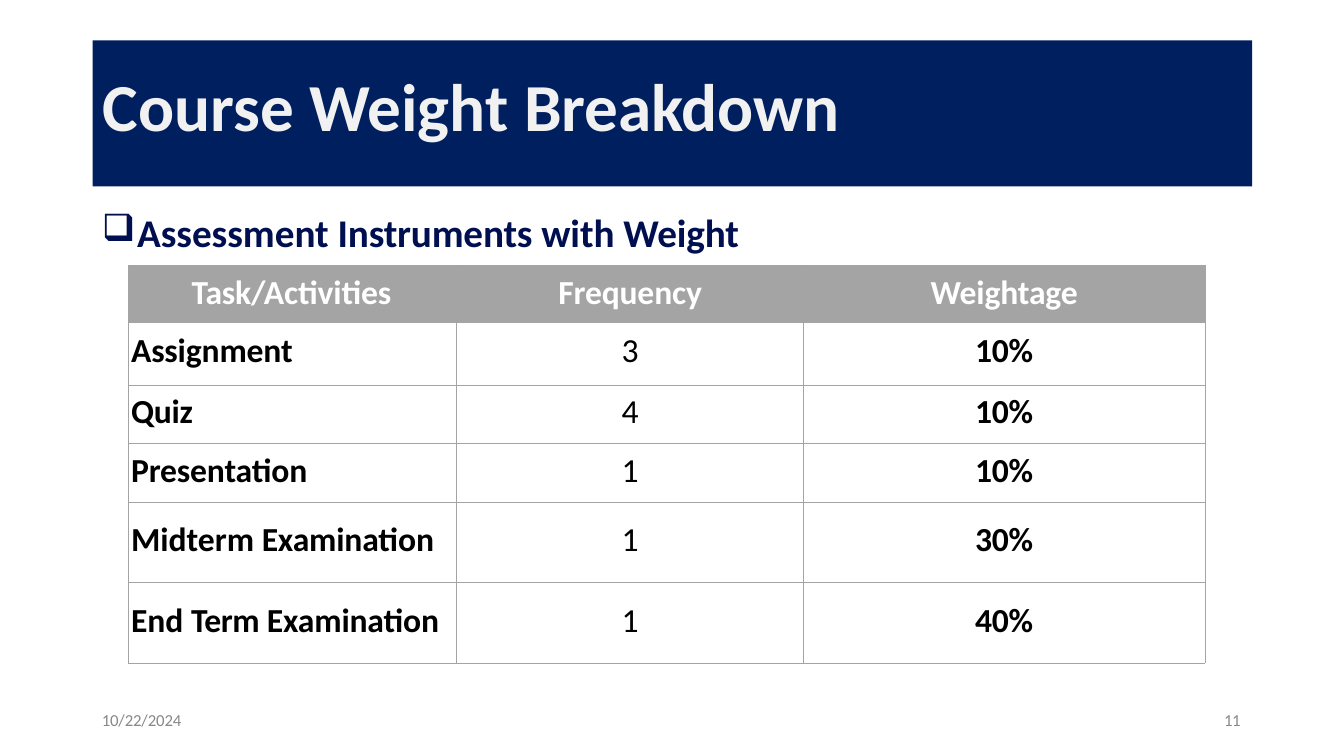
import pptx
import pptx.util
import pptx.dml.color
import pptx.enum.shapes
import pptx.enum.text
import pptx.oxml
import pptx.oxml.ns
from pptx.util import Inches

NAVY = "001F5F"
GREY = "A4A4A4"
SPACE = pptx.oxml.ns.nsdecls("a")


def paint(color, value):
    color.rgb = pptx.dml.color.RGBColor.from_string(value)


def write(para, runs, size, color, bold=False):
    for text, gap in runs:
        run = para.add_run()
        run.text = text
        font = run.font
        font.name = "Calibri"
        font.size = pptx.util.Pt(size)
        font.bold = bold
        paint(font.color, color)
        if gap:
            run._r.get_or_add_rPr().set("spc", str(round(gap * 100)))


def inset(item, left, top):
    item.margin_left = Inches(left)
    item.margin_top = Inches(top)
    item.margin_right = item.margin_bottom = 0


def add_box(slide, left, top, width, height, indent=0, drop=0):
    box = slide.shapes.add_textbox(
        Inches(left), Inches(top), Inches(width), Inches(height))
    frame = box.text_frame
    frame.word_wrap = True
    inset(frame, indent, drop)
    return frame.paragraphs[0]


def add_title(slide, runs):
    bar = slide.shapes.add_shape(
        pptx.enum.shapes.MSO_SHAPE.RECTANGLE,
        Inches(0.92), Inches(0.4), Inches(11.5), Inches(1.45))
    bar.shadow.inherit = False
    bar.fill.solid()
    paint(bar.fill.fore_color, NAVY)
    bar.line.fill.background()
    frame = bar.text_frame
    frame.word_wrap = True
    frame.vertical_anchor = pptx.enum.text.MSO_ANCHOR.TOP
    inset(frame, 0.1, 0.24)
    para = frame.paragraphs[0]
    para.alignment = pptx.enum.text.PP_ALIGN.LEFT
    write(para, runs, 48, "F1F1F1", True)


def add_point(slide, runs):
    para = add_box(slide, 1, 2.06, 6.38, 0.49, drop=0.01)
    props = para._p.get_or_add_pPr()
    props.set("marL", str(Inches(0.36)))
    props.set("indent", str(Inches(-0.35)))
    for part in (
        f'<a:buSzPct {SPACE} val="96000"/>',
        f'<a:buChar {SPACE} char="❑"/>',
        f'<a:tabLst {SPACE}><a:tab pos="{Inches(0.36)}" algn="l"/></a:tabLst>',
    ):
        props.append(pptx.oxml.parse_xml(part))
    write(para, runs, 28, "000F50", True)


def add_note(slide, left, width, indent, text, gap):
    para = add_box(slide, left, 7.07, width, 0.2, indent)
    para.line_spacing = pptx.util.Pt(12.4)
    write(para, [(text, gap)], 12, "888888")


def edge(cell, widths):
    props = cell._tc.get_or_add_tcPr()
    for side, width in zip("LRTB", widths):
        props.append(pptx.oxml.parse_xml(
            f'<a:ln{side} {SPACE} w="{pptx.util.Pt(width)}"><a:solidFill>'
            f'<a:srgbClr val="{GREY}"/></a:solidFill></a:ln{side}>'))


def add_grid(slide, rows, widths, heights, drops):
    grid = slide.shapes.add_table(
        len(rows), len(widths), Inches(1.27), Inches(2.63),
        Inches(sum(widths)), Inches(sum(heights))).table
    grid.first_row = grid.horz_banding = False
    for col, width in zip(grid.columns, widths):
        col.width = Inches(width)
    last = len(rows) - 1
    for r, cells in enumerate(rows):
        grid.rows[r].height = Inches(heights[r])
        for c, runs in enumerate(cells):
            cell = grid.cell(r, c)
            head = r == 0
            edge(cell, (0.5, 0.5, 1.5 if r == last else 0.5,
                        1.5 if r == last - 1 else 0.5))
            if head:
                cell.fill.solid()
                paint(cell.fill.fore_color, GREY)
            else:
                cell.fill.background()
            left = 0 if c else 0.63 if head else 0.03
            inset(cell, left, drops[r])
            para = cell.text_frame.paragraphs[0]
            align = pptx.enum.text.PP_ALIGN
            para.alignment = align.CENTER if c else align.LEFT
            write(para, runs, 24, "FFFFFF" if head else "000000",
                  head or c != 1)


def main():
    deck = pptx.Presentation()
    deck.slide_width = Inches(13.33)
    deck.slide_height = Inches(7.5)
    slide = deck.slides.add_slide(deck.slide_layouts[6])
    add_title(slide, [("Course Weight ", 0), ("Breakdown", -0.1)])
    add_note(slide, 1, 0.84, 0.01, "10/22/2024", -0.1)
    add_note(slide, 12.1, 0.27, 0.04, "11", -0.2)
    add_point(slide, [("Assessment ", 0), ("Instruments ", -0.1),
                      ("with ", 0), ("Weight", -0.1)])
    tasks = [
        ([("Assignment", -0.1)], "3", "10%"),
        ([("Quiz", -0.2)], "4", "10%"),
        ([("Presentation", -0.1)], "1", "10%"),
        ([("Midterm ", 0), ("Examination", -0.1)], "1", "30%"),
        ([("End ", 0), ("Term ", -0.3), ("Examination", -0.1)], "1", "40%"),
    ]
    heads = [[(text, -0.1)]
             for text in ("Task/Activities", "Frequency", "Weightage")]
    rows = [heads] + [(name, [(count, -0.5)], [(share, -0.2)])
                      for name, count, share in tasks]
    add_grid(slide, rows, (3.26, 3.44, 3.98),
             (0.57, 0.62, 0.58, 0.58, 0.8, 0.8),
             (0.07, 0.08, 0.07, 0.07, 0.18, 0.18))
    deck.save("out.pptx")


if __name__ == "__main__":
    main()
